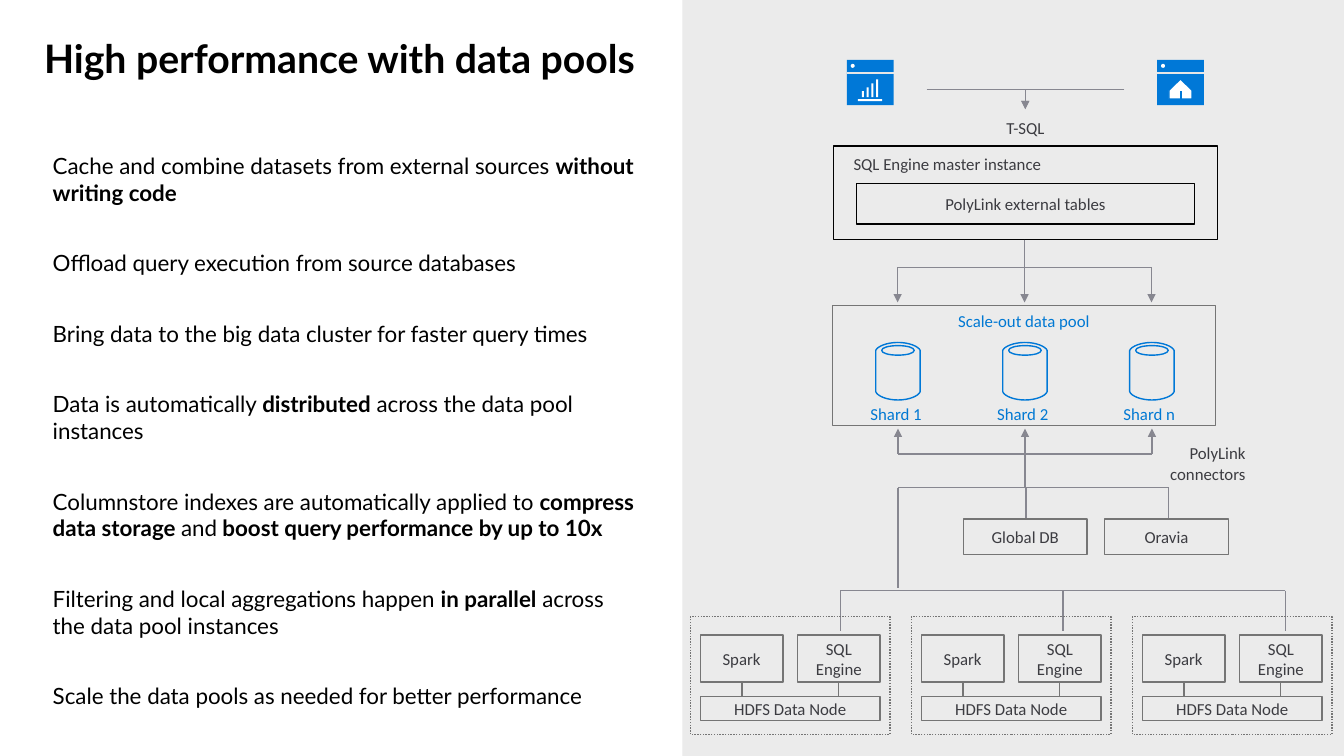
"""Build the slide on high performance with data pools."""
import pptx
import pptx.dml.color
import pptx.enum.dml
import pptx.enum.shapes
import pptx.enum.text
import pptx.oxml.ns
import pptx.util
from lxml import etree

Cm = pptx.util.Cm
Pt = pptx.util.Pt
qn = pptx.oxml.ns.qn
SHAPE = pptx.enum.shapes.MSO_SHAPE
CONNECTOR = pptx.enum.shapes.MSO_CONNECTOR
ALIGN = pptx.enum.text.PP_ALIGN
ANCHOR = pptx.enum.text.MSO_ANCHOR

COLOURS = {
    "panel": "EBEBEB", "black": "000000", "white": "FFFFFF", "label": "3C3C41",
    "wire": "878790", "border": "757575", "pool": "0078D3", "icon": "0078D7",
    "icon_rule": "E6E6E6",
}
LABEL = {"name": "Calibri", "size": Pt(12)}
TITLE = {"name": "Lato", "size": Pt(28), "bold": True}
BODY = {"name": "Lato", "size": Pt(16)}
SHARD_STEP = 3.2
CYLINDER = [
    ("moveTo", [(0.56, 0.08)]),
    ("cubicBezTo", [(0.33, 0.08), (0.15, 0.13), (0.15, 0.2)]),
    ("cubicBezTo", [(0.15, 0.27), (0.33, 0.32), (0.56, 0.32)]),
    ("cubicBezTo", [(0.79, 0.32), (0.97, 0.27), (0.97, 0.2)]),
    ("cubicBezTo", [(0.97, 0.13), (0.79, 0.08), (0.56, 0.08)]),
    ("close", []),
    ("moveTo", [(0.56, 0)]),
    ("cubicBezTo", [(0.84, 0), (1.08, 0.1), (1.12, 0.2)]),
    ("lnTo", [(1.12, 1.24)]),
    ("cubicBezTo", [(1.08, 1.35), (0.84, 1.45), (0.56, 1.45)]),
    ("cubicBezTo", [(0.28, 1.45), (0.04, 1.35), (0, 1.24)]),
    ("lnTo", [(0, 0.2)]),
    ("cubicBezTo", [(0.04, 0.1), (0.28, 0), (0.56, 0)]),
    ("close", []),
]
POINTS = [
    [("Cache and combine datasets from external sources ", False), ("without writing code", True)],
    [("Offload query execution from source databases", False)],
    [("Bring data to the big data cluster for faster query times", False)],
    [("Data is automatically ", False), ("distributed", True),
     (" across the data pool instances", False)],
    [("Columnstore indexes are automatically applied to ", False),
     ("compress data storage ", True), ("and", False),
     (" boost query performance by up to 10x", True)],
    [("Filtering and local aggregations happen ", False), ("in parallel", True),
     (" across the data pool instances", False)],
    [("Scale the data pools as needed for better performance", False)],
]


def colour(name):
    """Return the named colour."""
    return pptx.dml.color.RGBColor.from_string(COLOURS[name])


def assign(target, formats):
    """Set every attribute of target listed in formats."""
    for name, value in formats.items():
        setattr(target, name, value)


def style(shape, fill=None, line=None):
    """Give a shape a plain fill and a one-point outline, or neither."""
    shape.shadow.inherit = False
    if fill:
        shape.fill.solid()
        shape.fill.fore_color.rgb = colour(fill)
    else:
        shape.fill.background()
    if line:
        shape.line.color.rgb = colour(line)
        shape.line.width = Pt(1)
    else:
        shape.line.fill.background()
    return shape


def add_block(shapes, box, fill=None, line=None, kind=SHAPE.RECTANGLE):
    """Add a preset shape in a box given in centimetres."""
    return style(shapes.add_shape(kind, *map(Cm, box)), fill, line)


def write(shape, lines, font, ink="label", frame=None, paragraph=None):
    """Write lines of (text, bold) spans, or plain strings, in a shape."""
    text = shape.text_frame
    assign(text, {"word_wrap": True, **(frame or {})})
    for index, line in enumerate(lines):
        para = text.add_paragraph() if index else text.paragraphs[0]
        assign(para, {"alignment": ALIGN.CENTER, **(paragraph or {})})
        if not index:
            para.space_before = Pt(0)
        for words, bold in [(line, False)] if isinstance(line, str) else line:
            span = para.add_run()
            span.text = words
            assign(span.font, {"bold": bold, **font})
            span.font.color.rgb = colour(ink)


def add_text(shapes, box, lines, font, **options):
    """Add a text box in a box given in centimetres."""
    write(shapes.add_textbox(*map(Cm, box)), lines, font, **options)


def add_label_block(shapes, box, words, line="border"):
    """Add an outlined box with a centred label."""
    write(add_block(shapes, box, line=line), [words], LABEL,
          frame={"vertical_anchor": ANCHOR.MIDDLE})


def add_wire(shapes, start, end, ink="wire", width=1, arrow=False, bent=False):
    """Draw a straight or one-corner connector, with an optional arrowhead."""
    kind = CONNECTOR.ELBOW if bent else CONNECTOR.STRAIGHT
    wire = shapes.add_connector(kind, *map(Cm, (*start, *end)))
    wire.line.color.rgb = colour(ink)
    wire.line.width = Pt(width)
    properties = wire.element.spPr
    if bent:
        properties.find(qn("a:prstGeom")).set("prst", "bentConnector2")
    if arrow:
        etree.SubElement(wire.get_or_add_ln(), qn("a:tailEnd"), type="triangle")
    etree.SubElement(properties, qn("a:effectLst"))


def add_outline(shapes, corners, **look):
    """Build a closed freeform from corners given in centimetres."""
    points = [(Cm(x), Cm(y)) for x, y in corners]
    builder = shapes.build_freeform(*points[0], scale=1.0)
    builder.add_line_segments(points[1:], close=True)
    return style(builder.convert_to_shape(), **look)


def add_cylinder(shapes, left, top):
    """Draw a shard as a curved outline with an open lid."""
    right, bottom = left + 1.12, top + 1.45
    shape = add_outline(shapes, [(left, top), (right, top), (right, bottom), (left, bottom)],
                        line="icon")
    outline = shape.element.find(".//" + qn("a:path"))
    for step in list(outline):
        outline.remove(step)
    for command, points in CYLINDER:
        step = etree.SubElement(outline, qn("a:" + command))
        for x, y in points:
            etree.SubElement(step, qn("a:pt"), x=str(int(Cm(x))), y=str(int(Cm(y))))


def draw_message(page, box):
    """Write the title and the points below it."""
    left, top, width, height = box
    add_text(page.shapes, (left, top, width, 2.49), [[("High performance with data pools", True)]],
             TITLE, ink="black", paragraph={"alignment": ALIGN.LEFT, "line_spacing": 0.9})
    add_text(page.shapes, (left + 0.22, top + 2.82, 15.19, height - 2.82), POINTS, BODY,
             ink="black", paragraph={"alignment": ALIGN.LEFT, "space_before": Pt(31.2)})


def draw_window(page, box):
    """Draw an application window and return its group's shapes."""
    left, top, width, height = box
    shapes = page.shapes.add_group_shape().shapes
    add_block(shapes, box, fill="icon")
    add_wire(shapes, (left, top + 0.32), (left + width, top + 0.32), "icon_rule", 1.5)
    add_block(shapes, (left + 0.1, top + 0.1, 0.1, 0.1), fill="white", kind=SHAPE.OVAL)
    return shapes


def draw_clients(page, box):
    """Draw the report and home windows and the query path between them."""
    left, top, width, height = box
    middle = left + width / 2
    report = draw_window(page, (left, top, 1.18, height))
    add_block(report, (left + 0.28, top + 0.99, 0.61, 0.05), fill="white")
    for index in range(4):
        tall = 0.15 + 0.1 * index
        add_block(report, (left + 0.38 + 0.12 * index, top + 0.94 - tall, 0.05, tall), fill="white")
    side = left + width - 1.18
    home = draw_window(page, (side, top, 1.18, height))
    corners = [(0.3, 0.99), (0.3, 0.76), (0.59, 0.48), (0.88, 0.76), (0.88, 0.99)]
    add_outline(home, [(side + x, top + y) for x, y in corners], fill="white", line="icon")
    add_wire(home, (side + 0.6, top + 0.79), (side + 0.6, top + 0.99), "icon")
    for start in (left + 2.01, left + width - 2):
        add_wire(page.shapes, (start, top + 0.74), (middle, top + 1.24), arrow=True, bent=True)
    add_text(page.shapes, (middle - 1.66, top + 1.4, 3.33, 0.71), ["T-SQL"], LABEL,
             paragraph={"line_spacing": 0.9})


def draw_master(page, box):
    """Draw the master instance with its external tables."""
    left, top, width, height = box
    write(add_block(page.shapes, box, line="black"), ["SQL Engine master instance"], LABEL,
          frame={"vertical_anchor": ANCHOR.TOP, "margin_left": Cm(0.51), "margin_top": Cm(0.25)},
          paragraph={"alignment": ALIGN.LEFT, "line_spacing": 0.9})
    add_label_block(page.shapes, (left + 0.59, top + 0.95, width - 1.17, 1.02),
                    "PolyLink external tables", "black")


def draw_fan(page, left, bar, tip, trunk):
    """Draw a bar with an arrow to each shard, the middle one from the trunk."""
    add_wire(page.shapes, (left, bar), (left + 2 * SHARD_STEP, bar))
    for index, start in enumerate((bar, trunk, bar)):
        x = left + index * SHARD_STEP
        add_wire(page.shapes, (x, start), (x, tip), arrow=True)


def draw_pool(page, box):
    """Draw the data pool with its three shards."""
    left, top, width, height = box
    write(add_block(page.shapes, box, line="border"), ["Scale-out data pool"], LABEL,
          ink="pool", frame={"vertical_anchor": ANCHOR.TOP})
    for index, name in enumerate(("Shard 1", "Shard 2", "Shard n")):
        add_cylinder(page.shapes, left + 1.09 + index * SHARD_STEP, top + 0.93)
        add_text(page.shapes, (left + 0.69 + index * 3.19, top + 2.4, 1.83, 0.71), [name], LABEL,
                 ink="pool", frame={"word_wrap": False}, paragraph={"line_spacing": 0.9})


def draw_sources(page, box):
    """Draw the external sources and the wires that join them to the pool."""
    left, top, width, height = box
    add_wire(page.shapes, (left, top), (left + width, top))
    for x, drop in ((0, height), (3.23, 0.79), (width, 0.79)):
        add_wire(page.shapes, (left + x, top), (left + x, top + drop))
    for x, name in ((1.65, "Global DB"), (5.21, "Oravia")):
        add_label_block(page.shapes, (left + x, top + 0.79, 3.12, 0.89), name)
    add_text(page.shapes, (left + 6.5, top - 1.06, 2.51, 0.89), ["PolyLink", "connectors"], LABEL,
             frame={"vertical_anchor": ANCHOR.MIDDLE}, paragraph={"alignment": ALIGN.RIGHT})


def draw_node(page, box):
    """Draw one cluster node with its engines and data node."""
    left, top, width, height = box
    frame = add_block(page.shapes, box, line="border")
    frame.line.dash_style = pptx.enum.dml.MSO_LINE.ROUND_DOT
    shapes = page.shapes.add_group_shape().shapes
    for x, name, link in ((0.25, "Spark", 1.3), (2.7, "SQL Engine", 3.73)):
        add_label_block(shapes, (left + x, top + 0.46, 2.08, 1.19), name)
        add_wire(shapes, (left + link, top + 1.65), (left + link, top + 2), "border")
    add_label_block(shapes, (left + 0.25, top + 2.01, width - 0.5, 0.61), "HDFS Data Node")


def draw_cluster(page, box):
    """Draw the bar that feeds the three nodes, and the nodes."""
    left, top, width, height = box
    add_wire(page.shapes, (left + 3.77, top), (left + 14.99, top))
    for index in range(3):
        x = left + 3.78 + index * 5.61
        add_wire(page.shapes, (x, top), (x, top + 1.02))
        draw_node(page, (left + index * 5.57, top + 0.66, 5.03, height - 0.66))


def main():
    """Compose the slide and save it."""
    deck = pptx.Presentation()
    assign(deck, {"slide_width": Cm(33.87), "slide_height": Cm(19.05)})
    page = deck.slides.add_slide(deck.slide_layouts[6])
    add_block(page.shapes, (17.2, 0, 16.67, 19.05), fill="panel")
    draw_message(page, (0.86, 0.88, 15.75, 17.48))
    draw_clients(page, (21.34, 1.51, 9, 1.14))
    draw_master(page, (21, 3.68, 9.68, 2.36))
    draw_fan(page, 22.62, bar=6.74, tip=7.62, trunk=6.04)
    draw_pool(page, (20.98, 7.7, 9.65, 3.02))
    draw_fan(page, 22.63, bar=11.44, tip=10.8, trunk=12.29)
    draw_sources(page, (22.63, 12.29, 6.82, 2.54))
    draw_cluster(page, (17.4, 14.88, 16.15, 3.63))
    deck.save("out.pptx")


if __name__ == "__main__":
    main()
